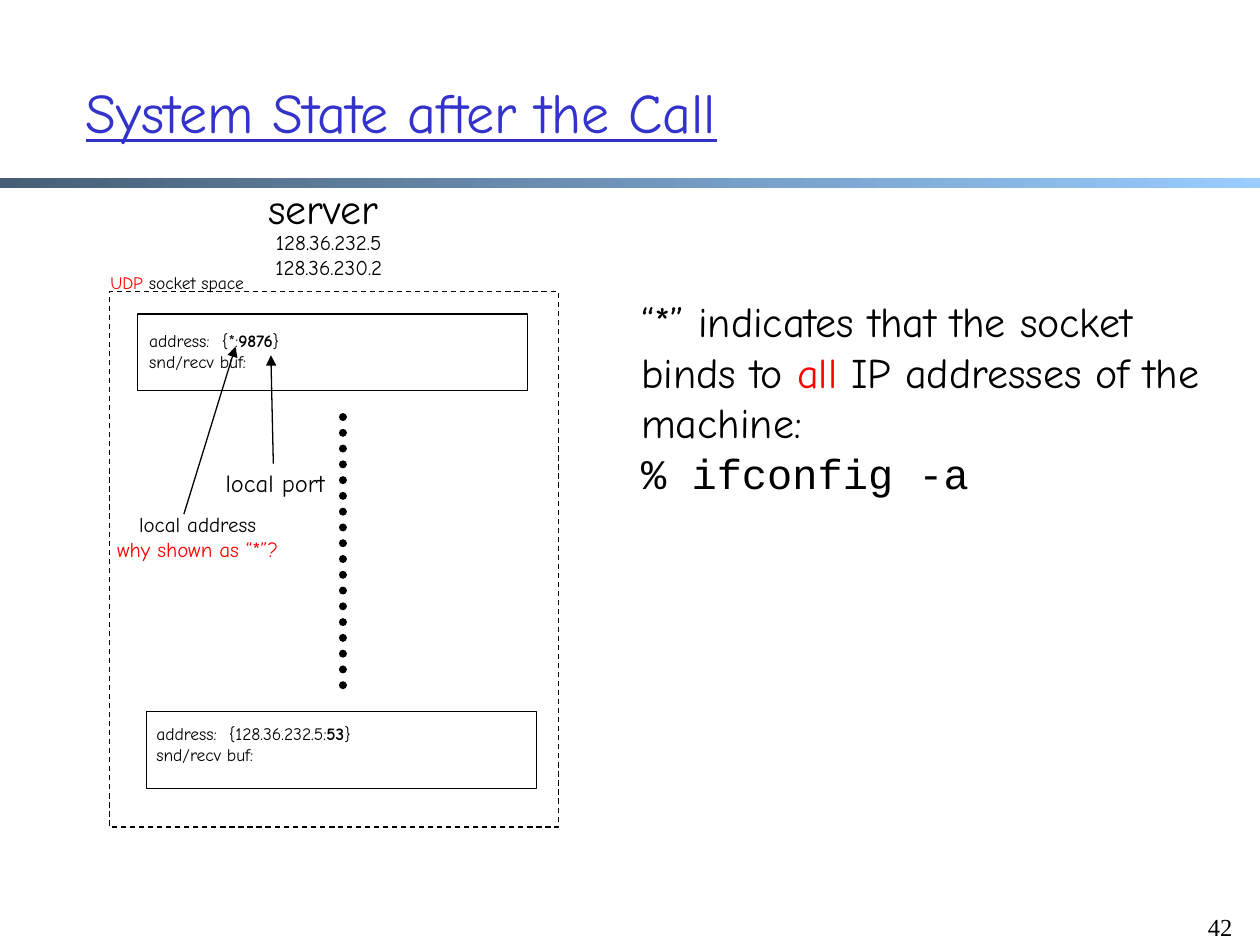
from dataclasses import dataclass

from lxml import etree
from pptx import Presentation
from pptx.dml.color import RGBColor
from pptx.enum.dml import MSO_LINE as Dash
from pptx.enum.shapes import MSO_CONNECTOR as Connector, MSO_SHAPE as Shape
from pptx.enum.text import MSO_ANCHOR as Anchor, PP_ALIGN as Align
from pptx.oxml.ns import qn
from pptx.util import Pt


@dataclass(frozen=True)
class Theme:
    black: str = "000000"
    red: str = "FF0000"
    blue: str = "3333CC"
    bar_start: str = "475E76"
    bar_end: str = "99CCFF"
    body_font: str = "Comic Neue"
    code_font: str = "Courier New"
    number_font: str = "Times New Roman"
    title: int = 32
    large: int = 24
    medium: int = 14
    small: int = 12
    tiny: int = 10
    thin: float = 0.75
    dots: float = 4.5


theme = Theme()
presentation = Presentation()
presentation.slide_width, presentation.slide_height = Pt(720), Pt(540)
slide = presentation.slides.add_slide(presentation.slide_layouts[6])


def add_text(box, paragraphs, size, *, font=theme.body_font, color=theme.black,
             align=Align.LEFT, anchor=Anchor.TOP, wrap=False, underline=None, tab=None):
    """Add a text box; each paragraph is a list of (text, run overrides)."""
    frame = slide.shapes.add_textbox(*map(Pt, box)).text_frame
    frame.word_wrap = wrap
    frame.vertical_anchor = anchor
    for index, runs in enumerate(paragraphs):
        paragraph = frame.add_paragraph() if index else frame.paragraphs[0]
        paragraph.alignment = align
        if tab:
            tab_list = etree.SubElement(paragraph._p.get_or_add_pPr(), qn("a:tabLst"))
            etree.SubElement(tab_list, qn("a:tab"), pos=str(Pt(tab)), algn="l")
        for text, change in runs:
            run = paragraph.add_run()
            run.text = text
            run.font.size = Pt(size)
            run.font.name = change.get("font", font)
            run.font.bold = change.get("bold", False)
            run.font.underline = underline
            run.font.color.rgb = RGBColor.from_string(change.get("color", color))


def add_line(start, end, width):
    line = slide.shapes.add_connector(Connector.STRAIGHT, *map(Pt, start + end))
    line.line.width = Pt(width)
    line.line.color.rgb = RGBColor.from_string(theme.black)
    etree.SubElement(line._element.spPr, qn("a:effectLst"))
    return line.line


# Title, divider bar and slide number
bar = slide.shapes.add_shape(Shape.RECTANGLE, *map(Pt, (0, 101.6, 720, 6)))
bar.shadow.inherit = False
bar.line.fill.background()
bar.fill.gradient()
bar.fill.gradient_angle = 0
for stop, color in zip(bar.fill.gradient_stops, (theme.bar_start, theme.bar_end)):
    stop.color.rgb = RGBColor.from_string(color)

add_text((675.4, 517.7, 36, 36), [[("42", {})]], theme.medium,
         font=theme.number_font, align=Align.RIGHT)
add_text((41.8, 18.7, 651, 90), [[("System State after the Call", {})]], theme.title,
         color=theme.blue, anchor=Anchor.MIDDLE, wrap=True, underline=True)

# Socket space and its two sockets
for box, dash in (
    ((62.6, 166.6, 256.4, 306), Dash.DASH),
    ((78.5, 179.4, 223, 44), Dash.SOLID),
    ((83.6, 406.6, 223, 44), Dash.SOLID),
):
    rectangle = slide.shapes.add_shape(Shape.RECTANGLE, *map(Pt, box))
    rectangle.shadow.inherit = False
    rectangle.fill.background()
    rectangle.line.color.rgb = RGBColor.from_string(theme.black)
    rectangle.line.width = Pt(theme.thin)
    rectangle.line.dash_style = dash

for box, address, port in (
    ((78.2, 185.2, 100, 31), "*:", "9876"),
    ((82.3, 409.8, 144, 31), "128.36.232.5:", "53"),
):
    add_text(box, [
        [("address:\t{" + address, {}), (port, {"bold": True}), ("}", {})],
        [("snd/recv buf:", {})],
    ], theme.tiny, tab=41.5)

# Centred labels
red = {"color": theme.red}
for box, paragraphs, size in (
    ((141.1, 101, 87.1, 34), [[("server", {})]], theme.large),
    ((144, 127.4, 87.8, 36), [[("128.36.232.5", {})], [("128.36.230.2", {})]], theme.small),
    ((52.6, 151.9, 97.2, 19.4), [[("UDP", red), (" socket space", {})]], theme.tiny),
    ((118.8, 264.2, 77, 24.5), [[("local port", {})]], theme.medium),
    ((55.4, 288.7, 115.2, 36.7),
     [[("local address", {})], [("why shown as “*”?", red)]], theme.small),
):
    add_text(box, paragraphs, size, align=Align.CENTER)

# Dots between the sockets, and arrows from the labels
dots = add_line((195.8, 238.3), (195.8, 391.7), theme.dots)
dots.dash_style = Dash.ROUND_DOT
dots._ln.set("cap", "rnd")

for start, end in (((105.1, 293.8), (134.6, 198)), ((156.2, 265), (154.8, 203))):
    arrow = add_line(start, end, theme.thin)
    etree.SubElement(arrow._ln, qn("a:tailEnd"), type="triangle")

# Explanation
add_text((359.3, 165.6, 350, 124), [
    [("“*” indicates that the socket binds to ", {}), ("all", red),
     (" IP addresses of the machine:", {})],
    [("% ifconfig -a", {"font": theme.code_font})],
], theme.large, wrap=True)

presentation.save("out.pptx")
